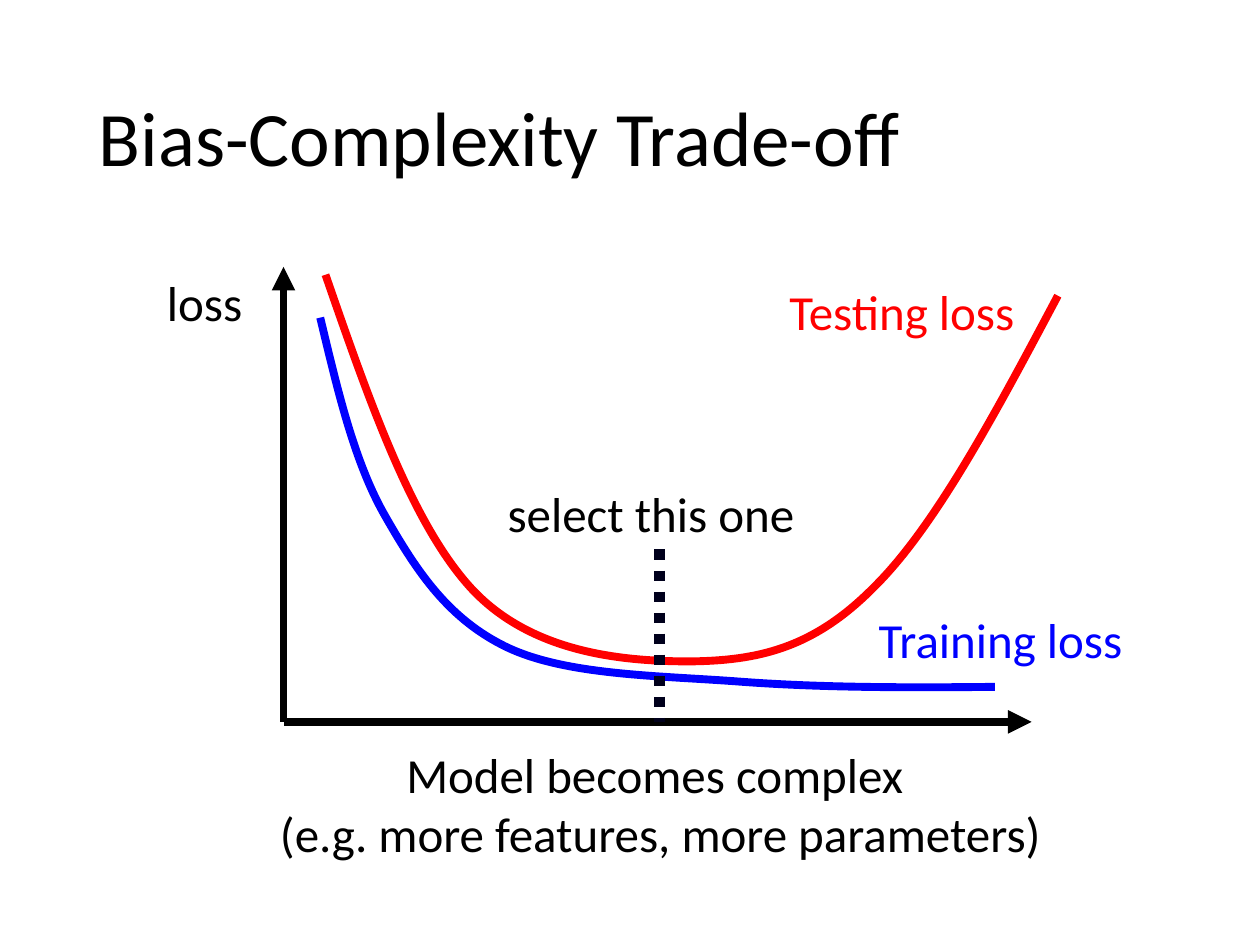
import pptx
import pptx.dml.color
import pptx.enum.dml
import pptx.enum.shapes
import pptx.enum.text
import pptx.oxml.ns
import pptx.oxml.xmlchemy
import pptx.util

Pt = pptx.util.Pt
ALIGN = pptx.enum.text.PP_ALIGN
BLACK, BLUE, RED, NAVY = "000000", "0000FF", "FF0000", "00001C"
ORIGIN = (162, 412.5)
TRAINING_CURVE = [
    (183, 181.5),
    (193, 223), (202.5, 264.5), (220.5, 295.5),
    (238.5, 327), (256.5, 354), (290, 370),
    (324, 386), (376, 386), (422.5, 389.5),
    (469, 393), (518.5, 393), (568.5, 392.5),
]
TESTING_CURVE = [
    (186, 157),
    (211, 229), (235.5, 300), (270, 337),
    (304.5, 373.5), (356.5, 378), (394.5, 378),
    (432.5, 377.5), (464.5, 371), (499.5, 335.5),
    (534.5, 301), (569.5, 235), (604.5, 169),
]


def rgb(color):
    """Turn a hex string into a colour."""
    return pptx.dml.color.RGBColor.from_string(color)


def new_element(tag):
    """Create an empty XML element."""
    return pptx.oxml.xmlchemy.OxmlElement(tag)


def add_text(slide, lines, left, top, width, height, color=BLACK, size=28, align=ALIGN.LEFT):
    """Add a text box with one paragraph per line and return its frame."""
    box = slide.shapes.add_textbox(Pt(left), Pt(top), Pt(width), Pt(height))
    frame = box.text_frame
    frame.word_wrap = True
    frame.text = "\n".join(lines)
    for para in frame.paragraphs:
        para.alignment = align
        para.font.name = "Calibri"
        para.font.size = Pt(size)
        para.font.color.rgb = rgb(color)
    return frame


def add_title(slide, text):
    """Add the slide title."""
    frame = add_text(slide, [text], 49.5, 28.75, 621, 104.5, size=44)
    frame.vertical_anchor = pptx.enum.text.MSO_ANCHOR.MIDDLE
    frame.paragraphs[0].line_spacing = 0.9


def add_line(slide, start, end, color=BLACK, width=4.5):
    """Add a straight line without a shadow."""
    points = [Pt(value) for value in (*start, *end)]
    line = slide.shapes.add_connector(pptx.enum.shapes.MSO_CONNECTOR.STRAIGHT, *points)
    line.line.color.rgb = rgb(color)
    line.line.width = Pt(width)
    line._element.spPr.append(new_element("a:effectLst"))
    return line


def add_axis(slide, end):
    """Add an axis with an arrowhead, running from the origin."""
    axis = add_line(slide, ORIGIN, end)
    head = new_element("a:tailEnd")
    head.set("type", "triangle")
    axis._element.spPr.find(pptx.oxml.ns.qn("a:ln")).append(head)


def add_curve(slide, points, color):
    """Add an open curve from a start point and triples of Bezier points."""
    start, *controls = [(Pt(x), Pt(y)) for x, y in points]
    builder = slide.shapes.build_freeform(*start)
    builder.add_line_segments(controls, close=False)
    curve = builder.convert_to_shape()
    curve.shadow.inherit = False
    curve.fill.background()
    curve.line.color.rgb = rgb(color)
    curve.line.width = Pt(4.5)
    segments = list(curve._element.iter(pptx.oxml.ns.qn("a:lnTo")))
    for first in range(0, len(segments), 3):
        bezier = new_element("a:cubicBezTo")
        segments[first].addprevious(bezier)
        for segment in segments[first:first + 3]:
            bezier.append(segment[0])
            segment.getparent().remove(segment)


def main():
    """Build the slide and save it."""
    deck = pptx.Presentation()
    deck.slide_width, deck.slide_height = Pt(720), Pt(540)
    slide = deck.slides.add_slide(deck.slide_layouts[6])

    add_title(slide, "Bias-Complexity Trade-off")
    add_axis(slide, (589.5, ORIGIN[1]))
    add_axis(slide, (ORIGIN[0], 152.5))
    add_text(slide, ["loss"], 49.5, 152, 96, 41, align=ALIGN.RIGHT)
    axis_label = ["Model becomes complex ", "(e.g. more features, more parameters)"]
    add_text(slide, axis_label, 145.5, 422, 463.5, 75, align=ALIGN.CENTER)

    add_curve(slide, TRAINING_CURVE, BLUE)
    add_text(slide, ["Training loss"], 495, 345, 175.5, 41, BLUE)
    add_curve(slide, TESTING_CURVE, RED)
    add_text(slide, ["Testing loss"], 444, 157.5, 175.5, 41, RED)

    marker = add_line(slide, (377, 314), (377, ORIGIN[1]), NAVY, 6)
    marker.line.dash_style = pptx.enum.dml.MSO_LINE.ROUND_DOT
    add_text(slide, ["select this one"], 283, 273, 191, 41)
    deck.save("out.pptx")


if __name__ == "__main__":
    main()
